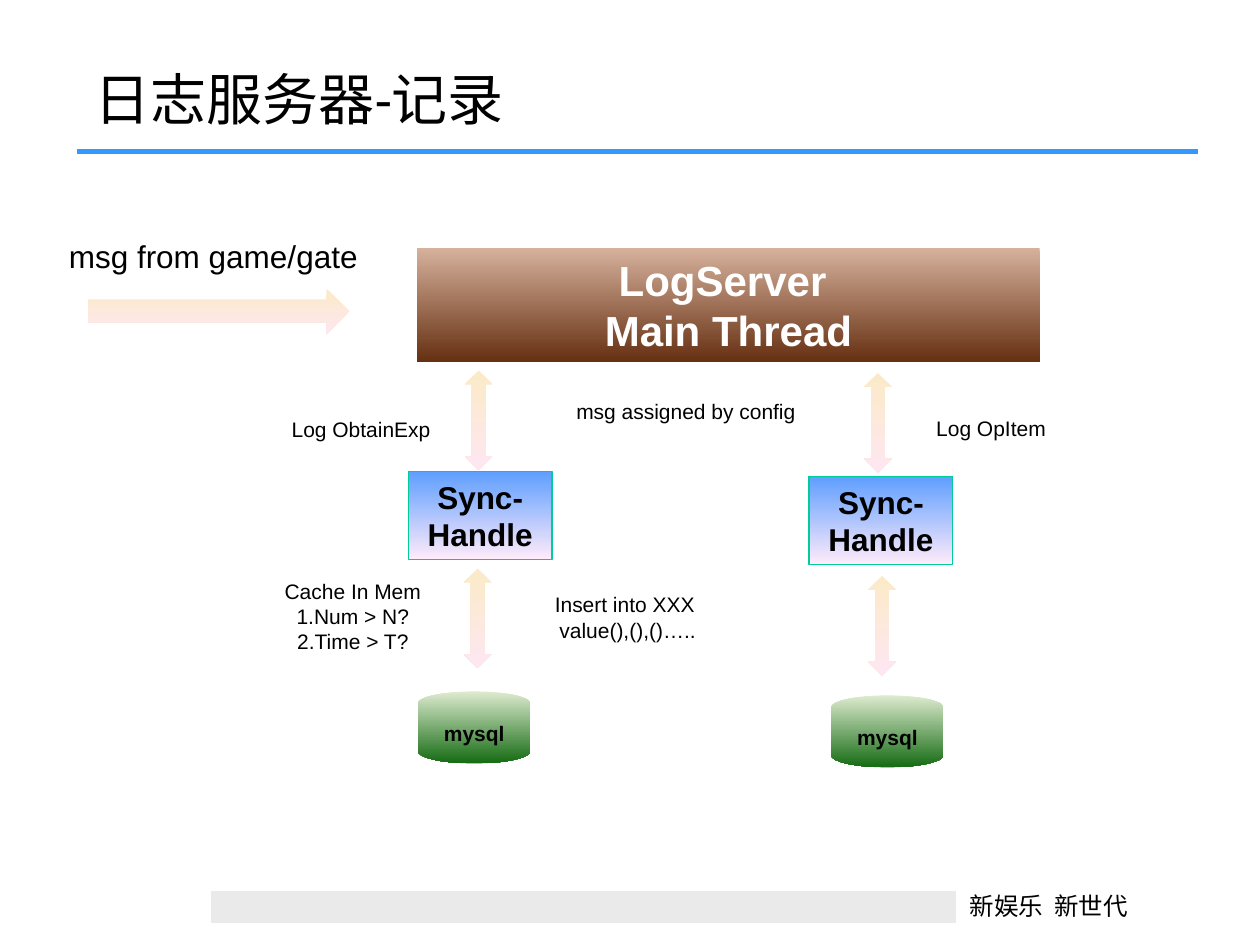
from lxml import etree
from pptx import Presentation
from pptx import util as u
from pptx.dml.color import RGBColor
from pptx.enum import shapes, text
from pptx.oxml import ns

COLOURS = {
    "text": "000000",
    "light_text": "FFFFFF",
    "rule": "3399FF",
    "footer_bar": "EAEAEA",
    "handle_edge": "00CC99",
}
GRADIENTS = {
    "arrow": ("FBEAC7", "FEE7F2"),
    "server": ("D6B19C", "663012"),
    "handle": ("5E9EFF", "FFEBFA"),
    "database": ("DDEBCF", "156B13"),
}
CJK_FONT = "Noto Sans CJK SC"
# One log thread per column: left edges and tops of its parts, in cm
THREADS = [
    {"queue": (9.37, 7.47), "handle": (8.23, 9.5),
     "writer": (9.35, 11.46), "database": (8.43, 13.94)},
    {"queue": (17.42, 7.52), "handle": (16.31, 9.6),
     "writer": (17.5, 11.61), "database": (16.76, 14.02)},
]
LABELS = [
    ("Log ObtainExp", (5.49, 8.28, 3.58, 0.76)),
    ("Log OpItem", (18.19, 8.26, 3.58, 0.76)),
    ("msg assigned by config", (10.67, 7.9, 6.32, 0.76)),
    ("Cache In Mem\n1.Num > N?\n2.Time > T?", (5.26, 11.53, 3.71, 1.78)),
    ("Insert into XXX \nvalue(),(),()…..", (10.24, 11.81, 4.83, 1.27)),
]


def rgb(name):
    return RGBColor.from_string(COLOURS[name])


def cm(values):
    return [u.Cm(value) for value in values]


def write(frame, words, size=12, font="Arial", colour="text", bold=False,
          align=text.PP_ALIGN.CENTER, anchor=text.MSO_ANCHOR.TOP, wrap=True):
    frame.word_wrap = wrap
    frame.auto_size = text.MSO_AUTO_SIZE.NONE
    frame.vertical_anchor = anchor
    frame.text = words
    for paragraph in frame.paragraphs:
        paragraph.alignment = align
        paragraph.space_before = u.Pt(0)
        for run in paragraph.runs:
            run.font.size = u.Pt(size)
            run.font.name = font
            run.font.bold = bold
            run.font.color.rgb = rgb(colour)
            east_asian = etree.SubElement(run.font._element, ns.qn("a:ea"))
            east_asian.set("typeface", CJK_FONT)


def add_label(slide, words, box, **style):
    label = slide.shapes.add_textbox(*cm(box))
    write(label.text_frame, words, **style)


def add_block(slide, kind, box, gradient, edge=None, words=None, **style):
    """Add a preset shape shaded from top to bottom, with optional words."""
    block = slide.shapes.add_shape(kind, *cm(box))
    block.shadow.inherit = False
    block.fill.gradient()
    block.fill.gradient_angle = 270
    for stop, colour in zip(block.fill.gradient_stops, GRADIENTS[gradient]):
        stop.color.rgb = RGBColor.from_string(colour)
    if edge:
        block.line.color.rgb = rgb(edge)
        block.line.width = u.Pt(0.75)
    else:
        block.line.fill.background()
    if words:
        write(block.text_frame, words, bold=True,
              anchor=text.MSO_ANCHOR.MIDDLE, **style)


def add_title(slide, words):
    title = slide.shapes.title
    title.left, title.top, title.width, title.height = cm((1.65, 1.19, 22.23, 1.6))
    write(title.text_frame, words, size=32, font="Calibri",
          align=text.PP_ALIGN.LEFT, anchor=text.MSO_ANCHOR.BOTTOM)


def add_page_frame(slide):
    """Add the rule below the title and the footer."""
    rule = slide.shapes.add_connector(
        shapes.MSO_CONNECTOR.STRAIGHT, *cm((1.55, 3.05, 24.16, 3.05)))
    rule.line.color.rgb = rgb("rule")
    rule.line.width = u.Pt(3)
    etree.SubElement(rule._element.spPr, ns.qn("a:effectLst"))

    bar = slide.shapes.add_shape(
        shapes.MSO_SHAPE.RECTANGLE, *cm((4.27, 17.98, 14.99, 0.61)))
    bar.shadow.inherit = False
    bar.fill.solid()
    bar.fill.fore_color.rgb = rgb("footer_bar")
    bar.line.color.rgb = rgb("footer_bar")
    bar.line.width = u.Pt(0.75)

    add_label(slide, "新娱乐  新世代", (19.3, 17.83, 3.76, 0.86), size=14,
              font=CJK_FONT, align=text.PP_ALIGN.LEFT, wrap=False)


def add_thread(slide, places):
    """Add one column: queue arrow, handle, writer arrow and database."""
    kind = shapes.MSO_SHAPE
    for arrow in ("queue", "writer"):
        add_block(slide, kind.UP_DOWN_ARROW, (*places[arrow], 0.56, 2.01), "arrow")
    add_block(slide, kind.RECTANGLE, (*places["handle"], 2.9, 1.78), "handle",
              edge="handle_edge", words="Sync-\nHandle", size=18)
    add_block(slide, kind.FLOWCHART_MAGNETIC_DISK,
              (*places["database"], 2.26, 1.45), "database", words="mysql")


def main():
    deck = Presentation()
    deck.slide_width, deck.slide_height = cm((25.4, 19.05))
    slide = deck.slides.add_slide(deck.slide_layouts.get_by_name("Title Only"))

    add_page_frame(slide)
    add_title(slide, "日志服务器-记录")
    add_block(slide, shapes.MSO_SHAPE.RIGHT_ARROW, (1.78, 5.82, 5.26, 0.91), "arrow")
    add_label(slide, "msg from game/gate", (-0.03, 4.65, 8.66, 1.02), size=18)
    add_block(slide, shapes.MSO_SHAPE.FLOWCHART_PROCESS, (8.41, 5, 12.55, 2.29),
              "server", words="LogServer \nMain Thread", size=24,
              colour="light_text")
    for places in THREADS:
        add_thread(slide, places)
    for words, box in LABELS:
        add_label(slide, words, box)

    deck.save("out.pptx")


if __name__ == "__main__":
    main()
